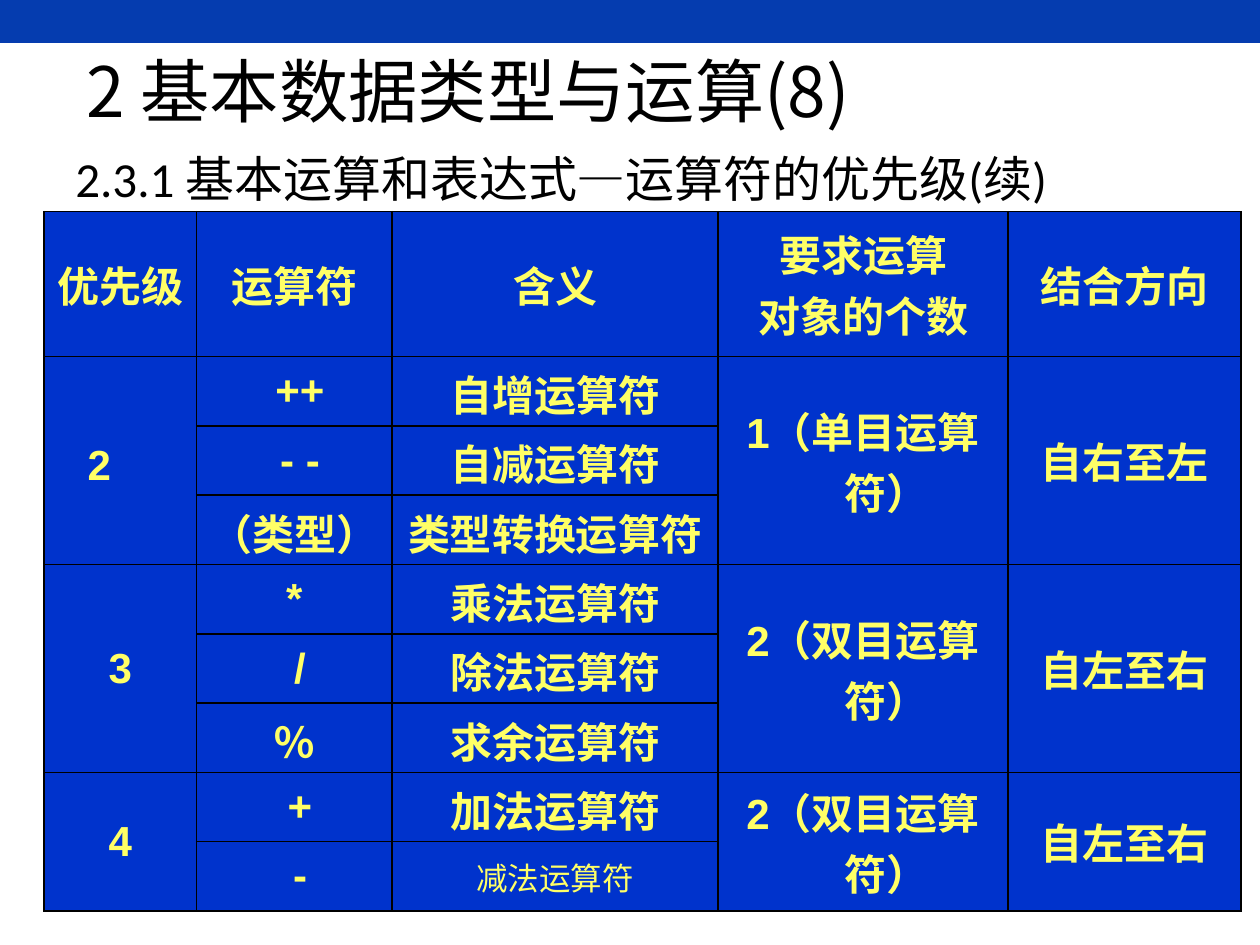
"""Build the slide on operator precedence, priorities 2 to 4."""
import pptx
import pptx.dml.color
import pptx.enum.shapes
import pptx.enum.text
import pptx.oxml
import pptx.oxml.ns
import pptx.util
from lxml import etree

Inches = pptx.util.Inches
MIDDLE = pptx.enum.text.MSO_ANCHOR.MIDDLE
COLORS = {"band": "053CAF", "text": "000000", "cell": "0033CC", "cell_text": "FFFF66", "border": "000000"}
CJK = "Noto Sans CJK SC"

TITLE = [("2 基本数据类型与运算(8)", CJK)]
SUBTITLE = [("2.3.1 基本运算和表达式", "Calibri"), ("—", "Arial"), ("运算符的优先级(续)", "Calibri")]

HEADERS = ["优先级", "运算符", "含义", "要求运算\n对象的个数", "结合方向"]
GROUPS = [
    {"priority": "2　", "operands": "1（单目运算符）", "direction": "自右至左", "merged": False,
     "operators": [(" ++", "自增运算符"), (" - -", "自减运算符"), ("（类型）", "类型转换运算符")]},
    {"priority": "3", "operands": "2（双目运算符）", "direction": "自左至右", "merged": True,
     "operators": [("*", "乘法运算符"), (" /", "除法运算符"), ("％", "求余运算符")]},
    {"priority": "4", "operands": "2（双目运算符）", "direction": "自左至右", "merged": True,
     "operators": [(" +", "加法运算符"), (" -", "减法运算符")]},
]
COLUMN_WIDTHS = [1.21, 1.55, 2.59, 2.3, 1.85]
HEADER_HEIGHT, ROW_HEIGHT = 1.15, 0.55
CELL_FORMAT = {"size": pptx.util.Pt(24), "bold": True}
PLAIN_FORMAT = {"size": pptx.util.Pt(18), "bold": False}


def rgb(name):
    return pptx.dml.color.RGBColor.from_string(COLORS[name])


def add_run(paragraph, text, font_name, color, formats):
    run = paragraph.add_run()
    run.text = text
    for name, value in {"name": font_name, **formats}.items():
        setattr(run.font, name, value)
    run.font.color.rgb = rgb(color)
    east_asian = etree.SubElement(run.font._element, pptx.oxml.ns.qn("a:ea"))
    east_asian.set("typeface", CJK)


def set_indent(paragraph, indent):
    properties = paragraph._p.get_or_add_pPr()
    properties.set("marL", str(Inches(indent)))
    properties.set("indent", str(-Inches(indent)))


def add_heading(slide, box, runs, size, anchor, indent=0):
    frame = slide.shapes.add_textbox(*map(Inches, box)).text_frame
    frame.word_wrap = True
    frame.vertical_anchor = anchor
    paragraph = frame.paragraphs[0]
    set_indent(paragraph, indent)
    paragraph.line_spacing = 0.9
    for text, font_name in runs:
        add_run(paragraph, text, font_name, "text", {"size": pptx.util.Pt(size)})


def set_borders(cell, sides):
    properties = cell._tc.get_or_add_tcPr()
    for side in "LRTB":
        line = etree.SubElement(properties, pptx.oxml.ns.qn(f"a:ln{side}"), w=str(pptx.util.Pt(1)))
        if side in sides:
            fill = etree.SubElement(line, pptx.oxml.ns.qn("a:solidFill"))
            etree.SubElement(fill, pptx.oxml.ns.qn("a:srgbClr"), val=COLORS["border"])
        else:
            etree.SubElement(line, pptx.oxml.ns.qn("a:noFill"))


def style_cell(cell, sides="LRTB"):
    set_borders(cell, sides)
    cell.fill.solid()
    cell.fill.fore_color.rgb = rgb("cell")
    cell.vertical_anchor = MIDDLE


def write_cell(cell, text, formats=CELL_FORMAT):
    for index, line in enumerate(text.split("\n")):
        paragraph = cell.text_frame.add_paragraph() if index else cell.text_frame.paragraphs[0]
        set_indent(paragraph, 0.38)
        paragraph.alignment = pptx.enum.text.PP_ALIGN.CENTER
        add_run(paragraph, line, "Arial", "cell_text", formats)


def add_operator_table(slide):
    row_count = 1 + sum(len(group["operators"]) for group in GROUPS)
    height = HEADER_HEIGHT + ROW_HEIGHT * (row_count - 1)
    box = map(Inches, (0.35, 1.68, sum(COLUMN_WIDTHS), height))
    table = slide.shapes.add_table(row_count, len(HEADERS), *box).table
    for column, width in zip(table.columns, COLUMN_WIDTHS):
        column.width = Inches(width)
    for index, row in enumerate(table.rows):
        row.height = Inches(ROW_HEIGHT if index else HEADER_HEIGHT)
    for column, header in enumerate(HEADERS):
        style_cell(table.cell(0, column))
        write_cell(table.cell(0, column), header)

    top = 1
    for group in GROUPS:
        bottom = top + len(group["operators"]) - 1
        for row, (operator, meaning) in enumerate(group["operators"], top):
            open_sides = "LR" + "T" * (row == top) + "B" * (row == bottom)
            for column in range(len(HEADERS)):
                is_open = column == 0 and not group["merged"]
                style_cell(table.cell(row, column), open_sides if is_open else "LRTB")
            write_cell(table.cell(row, 1), operator)
            write_cell(table.cell(row, 2), meaning, PLAIN_FORMAT if row == row_count - 1 else CELL_FORMAT)
        for column in (0, 3, 4) if group["merged"] else (3, 4):
            table.cell(top, column).merge(table.cell(bottom, column))
        priority_row = top if group["merged"] else (top + bottom) // 2
        write_cell(table.cell(priority_row, 0), group["priority"])
        write_cell(table.cell(top, 3), group["operands"])
        write_cell(table.cell(top, 4), group["direction"])
        top = bottom + 1


def main():
    deck = pptx.Presentation()
    deck.slide_width, deck.slide_height = Inches(10), Inches(7.5)
    slide = deck.slides.add_slide(deck.slide_layouts[6])
    band = slide.shapes.add_shape(pptx.enum.shapes.MSO_SHAPE.RECTANGLE, 0, 0, Inches(10), Inches(0.34))
    band.shadow.inherit = False
    band.fill.solid()
    band.fill.fore_color.rgb = rgb("band")
    band.line.fill.background()
    add_heading(slide, (0.59, 0.44, 7.83, 0.62), TITLE, 39.6, MIDDLE)
    add_heading(slide, (0.5, 1.18, 8.67, 0.5), SUBTITLE, 28, pptx.enum.text.MSO_ANCHOR.TOP, 0.25)
    add_operator_table(slide)
    deck.save("out.pptx")


if __name__ == "__main__":
    main()
